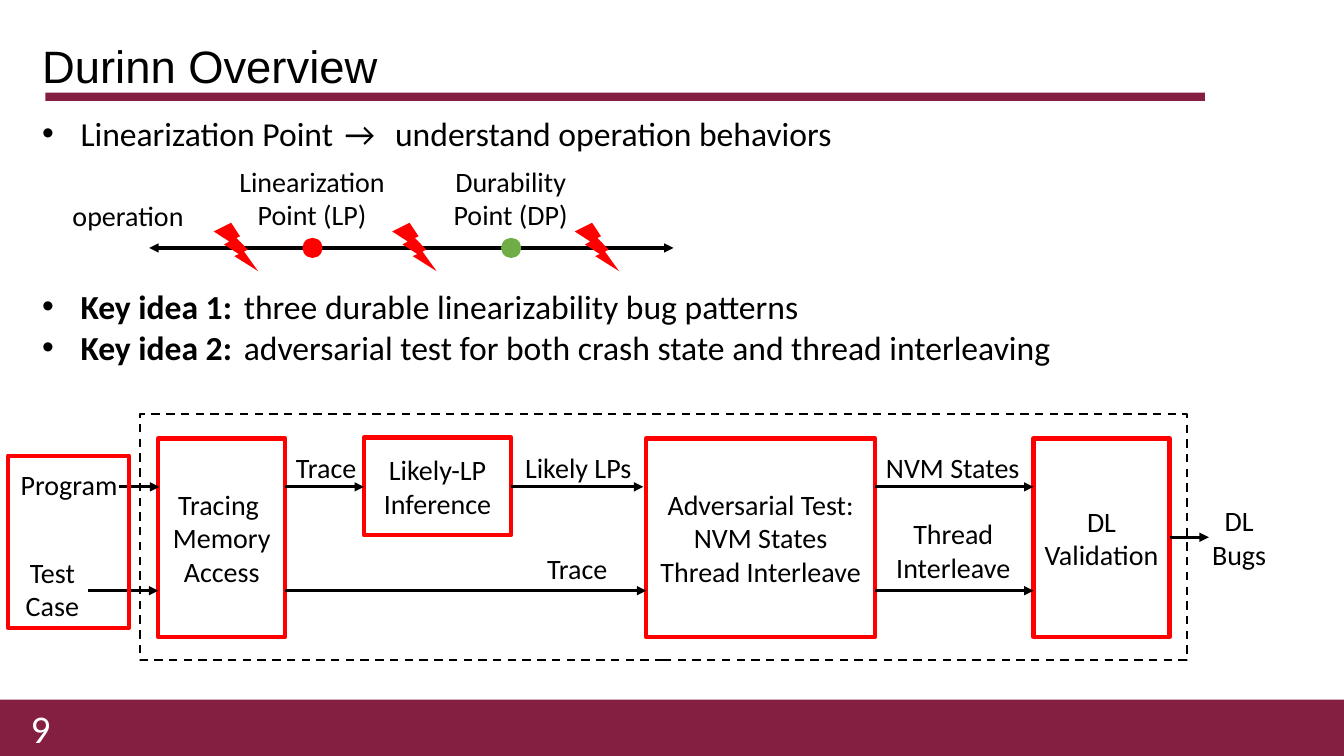
from dataclasses import dataclass

from lxml.etree import SubElement
from pptx import Presentation
from pptx.dml.color import RGBColor
from pptx.enum.dml import MSO_LINE
from pptx.enum.shapes import MSO_CONNECTOR, MSO_SHAPE
from pptx.enum.text import MSO_ANCHOR as Anchor, PP_ALIGN as Align
from pptx.oxml.ns import qn
from pptx.util import Inches, Pt


@dataclass(frozen=True)
class Theme:
    maroon: str = "851F41"
    red: str = "FF0000"
    green: str = "70AD47"
    black: str = "000000"
    white: str = "FFFFFF"
    heading: str = "Arial"
    body: str = "Calibri"
    title: float = 32.4
    number: float = 28
    bullet: float = 24
    label: float = 20


THEME = Theme()


def style(font, size, color=THEME.black, name=THEME.body):
    font.name = name
    font.size = Pt(size)
    font.color.rgb = RGBColor.from_string(color)


def write(frame, text, size=THEME.label, align=Align.CENTER, **look):
    for index, line in enumerate(text.split("\n")):
        paragraph = frame.paragraphs[0] if index == 0 else frame.add_paragraph()
        paragraph.text = line
        paragraph.alignment = align
        style(paragraph.font, size, **look)


def add_text(slide, box, text, wrap=False, anchor=Anchor.TOP, **look):
    frame = slide.shapes.add_textbox(*map(Inches, box)).text_frame
    frame.word_wrap = wrap
    frame.vertical_anchor = anchor
    write(frame, text, **look)
    return frame


def add_shape(slide, kind, box, fill=None, line=None, width=1.0):
    shape = slide.shapes.add_shape(kind, *map(Inches, box))
    shape.shadow.inherit = False
    if fill:
        shape.fill.solid()
        shape.fill.fore_color.rgb = RGBColor.from_string(fill)
    else:
        shape.fill.background()
    if line:
        shape.line.color.rgb = RGBColor.from_string(line)
        shape.line.width = Pt(width)
    else:
        shape.line.fill.background()
    return shape


def add_stage(slide, box, text):
    stage = add_shape(slide, MSO_SHAPE.RECTANGLE, box, THEME.white, THEME.red, 3)
    stage.text_frame.word_wrap = True
    stage.text_frame.vertical_anchor = Anchor.MIDDLE
    write(stage.text_frame, text)


def add_arrow(slide, start, end, y, both_ends=False):
    arrow = slide.shapes.add_connector(
        MSO_CONNECTOR.STRAIGHT, Inches(start), Inches(y), Inches(end), Inches(y))
    arrow.line.color.rgb = RGBColor.from_string(THEME.black)
    arrow.line.width = Pt(2.25)
    line = arrow.line._get_or_add_ln()
    for end_tag in ("a:headEnd", "a:tailEnd") if both_ends else ("a:tailEnd",):
        SubElement(line, qn(end_tag), type="triangle")
    SubElement(arrow._element.spPr, qn("a:effectLst"))


def add_bullets(slide, top, height, items, tabs):
    box = (0.32, top, 12.69, height)
    frame = slide.shapes.add_textbox(*map(Inches, box)).text_frame
    frame.word_wrap = True
    for index, (lead, rest) in enumerate(items):
        paragraph = frame.paragraphs[0] if index == 0 else frame.add_paragraph()
        properties = paragraph._p.get_or_add_pPr()
        properties.set("marL", str(Inches(0.38)))
        properties.set("indent", str(-Inches(0.38)))
        SubElement(properties, qn("a:buFont"), typeface="Arial")
        SubElement(properties, qn("a:buChar"), char="•")
        stops = SubElement(properties, qn("a:tabLst"))
        for stop in tabs:
            SubElement(stops, qn("a:tab"), pos=str(Inches(stop)), algn="l")
        if lead:
            key = paragraph.add_run()
            key.text = lead
            key.font.bold = True
        paragraph.add_run().text = rest
        style(paragraph.font, THEME.bullet)


def add_frame(slide):
    for box in ((0, 6.94, 13.33, 0.56), (0.45, 0.92, 11.5, 0.08)):
        add_shape(slide, MSO_SHAPE.RECTANGLE, box, THEME.maroon)
    title = add_text(slide, (0.32, 0.4, 11.5, 0.56), "Durinn Overview", wrap=True,
                     anchor=Anchor.MIDDLE, size=THEME.title, align=Align.LEFT,
                     name=THEME.heading)
    title.paragraphs[0].line_spacing = 0.9
    add_text(slide, (0, 7.02, 0.6, 0.4), "9", wrap=True, anchor=Anchor.MIDDLE,
             size=THEME.number, align=Align.RIGHT, color=THEME.white)


def add_timeline(slide):
    add_arrow(slide, 1.48, 6.68, 2.46, both_ends=True)
    add_text(slide, (0.6, 1.92, 1.34, 0.44), "operation", wrap=True)
    for left, color in ((3, THEME.red), (4.97, THEME.green)):
        add_shape(slide, MSO_SHAPE.OVAL, (left, 2.36, 0.2, 0.2), color)
    add_text(slide, (2.25, 1.58, 1.69, 0.77), "Linearization Point (LP)", wrap=True)
    add_text(slide, (4.35, 1.58, 1.43, 0.77), "Durability Point (DP)", wrap=True)
    for left in (2.12, 3.89, 5.7):
        add_shape(slide, MSO_SHAPE.LIGHTNING_BOLT, (left, 2.21, 0.44, 0.48), THEME.red)


def add_pipeline(slide):
    upper, middle, lower = 4.83, 5.33, 5.86
    pipeline = add_shape(slide, MSO_SHAPE.RECTANGLE, (1.39, 4.11, 10.38, 2.44),
                         line=THEME.black, width=1.5)
    pipeline.line.dash_style = MSO_LINE.DASH

    for box, text in (
        ((1.57, 4.35, 1.26, 1.97), "Tracing \nMemory\nAccess"),
        ((3.61, 4.34, 1.46, 0.97), "Likely-LP Inference"),
        ((6.41, 4.35, 2.27, 1.97), "Adversarial Test:\nNVM States\nThread Interleave"),
        ((10.25, 4.35, 1.35, 1.97), "DL\nValidation"),
    ):
        add_stage(slide, box, text)

    for start, end, y in (
        (1.18, 1.58, upper), (2.83, 3.61, upper), (5.07, 6.38, upper),
        (8.68, 10.25, upper), (11.6, 11.99, middle),
        (0.87, 1.57, lower), (2.83, 6.41, lower), (8.68, 10.25, lower),
    ):
        add_arrow(slide, start, end, y)

    for box, text in (
        ((0.1, 4.59, 1.17, 0.44), "Program"),
        ((0.15, 5.46, 0.74, 0.77), "Test\nCase"),
        ((2.83, 4.42, 0.81, 0.44), "Trace"),
        ((5.1, 4.42, 1.27, 0.44), "Likely LPs"),
        ((5.32, 5.42, 0.81, 0.44), "Trace"),
        ((8.68, 4.42, 1.54, 0.44), "NVM States"),
        ((8.78, 5.08, 1.35, 0.77), "Thread\nInterleave"),
        ((11.92, 4.95, 0.74, 0.77), "DL\nBugs"),
    ):
        add_text(slide, box, text)
    add_shape(slide, MSO_SHAPE.RECTANGLE, (0.08, 4.52, 1.2, 1.71),
              line=THEME.red, width=3)


def main():
    deck = Presentation()
    deck.slide_width, deck.slide_height = Inches(13.33), Inches(7.5)
    slide = deck.slides.add_slide(deck.slide_layouts[6])
    add_frame(slide)
    add_timeline(slide)
    add_bullets(slide, 1.07, 0.5, [
        ("", "Linearization Point \t→\tunderstand operation behaviors"),
    ], tabs=(3, 3.5))
    add_bullets(slide, 2.79, 0.91, [
        ("Key idea 1:", " \tthree durable linearizability bug patterns"),
        ("Key idea 2: ", "\tadversarial test for both crash state and thread interleaving"),
    ], tabs=(2,))
    add_pipeline(slide)
    deck.save("out.pptx")


if __name__ == "__main__":
    main()
